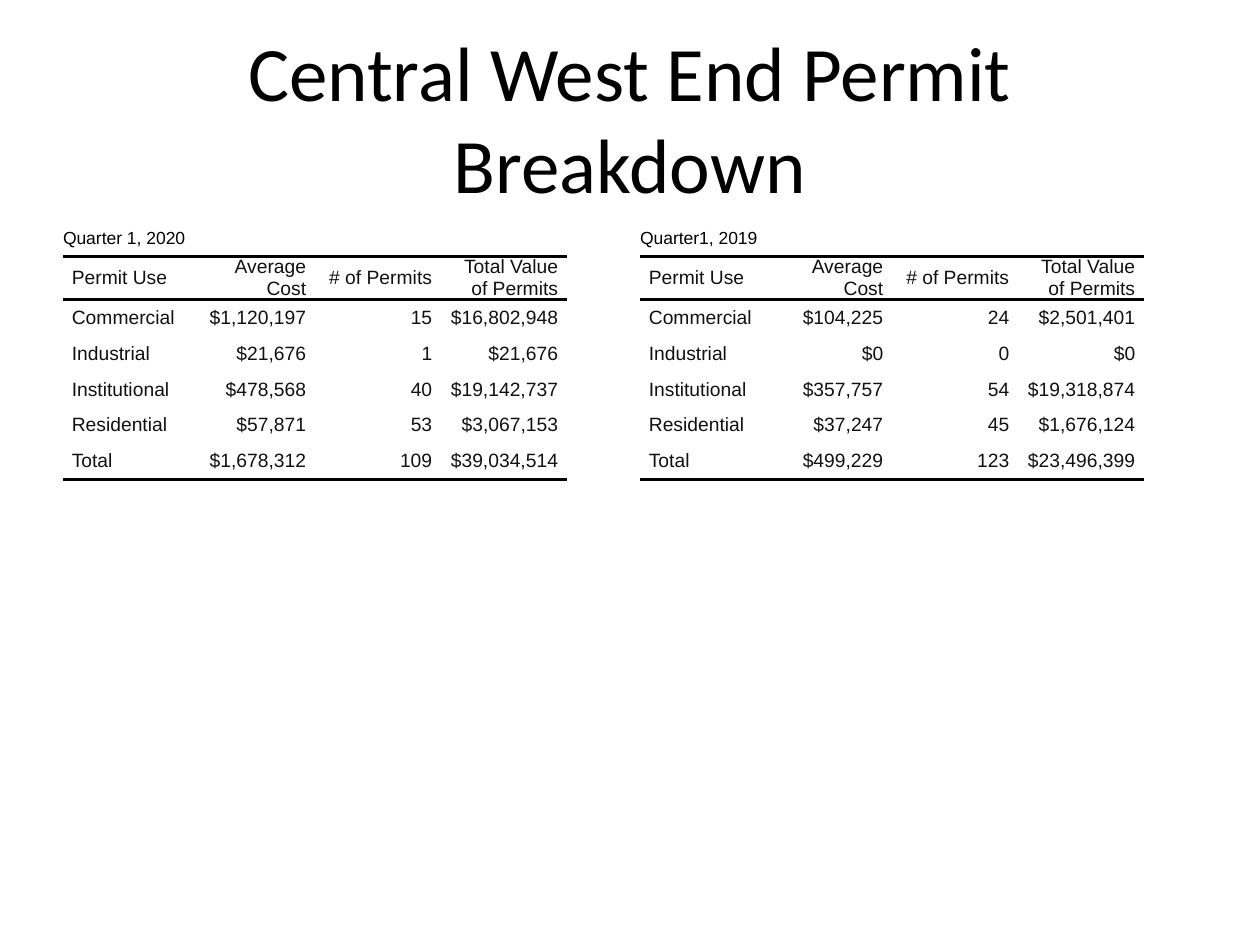
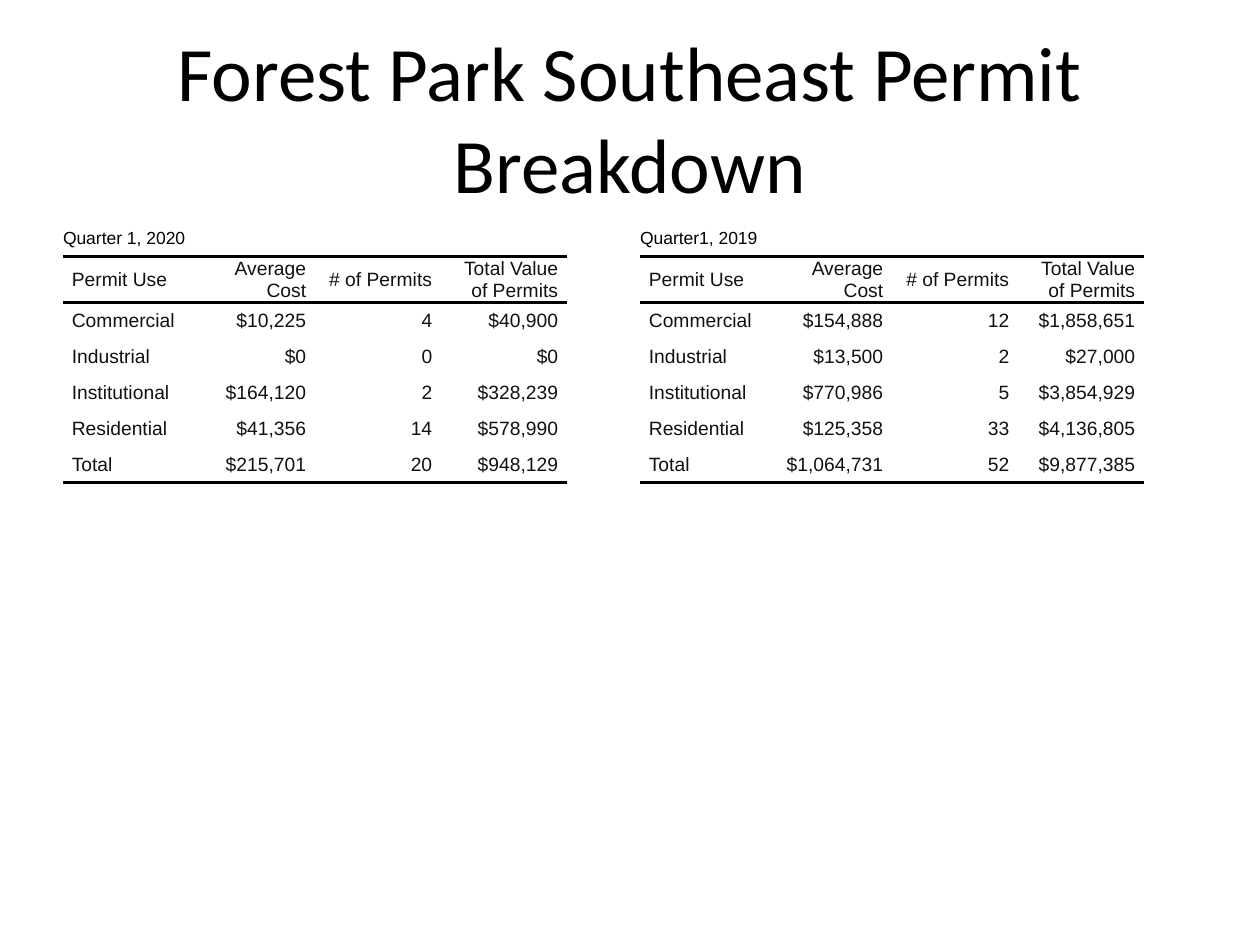
"""Build two slides comparing first-quarter building permits by neighbourhood."""
import pptx
import pptx.dml.color
import pptx.enum.text
import pptx.oxml
import pptx.oxml.ns
import pptx.util

HEADINGS = ["Permit Use", "Average Cost", "# of Permits", "Total Value of Permits"]
USES = ["Commercial", "Industrial", "Institutional", "Residential", "Total"]
QUARTERS = ["Quarter 1, 2020", "Quarter1, 2019"]
NEIGHBOURHOODS = {
    "Central West End Permit Breakdown": [
        [("$1,120,197", "15", "$16,802,948"),
         ("$21,676", "1", "$21,676"),
         ("$478,568", "40", "$19,142,737"),
         ("$57,871", "53", "$3,067,153"),
         ("$1,678,312", "109", "$39,034,514")],
        [("$104,225", "24", "$2,501,401"),
         ("$0", "0", "$0"),
         ("$357,757", "54", "$19,318,874"),
         ("$37,247", "45", "$1,676,124"),
         ("$499,229", "123", "$23,496,399")],
    ],
    "Forest Park Southeast Permit Breakdown": [
        [("$10,225", "4", "$40,900"),
         ("$0", "0", "$0"),
         ("$164,120", "2", "$328,239"),
         ("$41,356", "14", "$578,990"),
         ("$215,701", "20", "$948,129")],
        [("$154,888", "12", "$1,858,651"),
         ("$13,500", "2", "$27,000"),
         ("$770,986", "5", "$3,854,929"),
         ("$125,358", "33", "$4,136,805"),
         ("$1,064,731", "52", "$9,877,385")],
    ],
}

SLIDE_WIDTH, SLIDE_HEIGHT = 10, 7.5
MARGIN = SLIDE_WIDTH / 20
TITLE_TOP, TITLE_HEIGHT = SLIDE_HEIGHT * 0.04, SLIDE_HEIGHT / 6
TABLE_TOP, TABLE_PITCH = 1.75, 4.58
COLUMN_WIDTH, ROW_HEIGHT = 1, 2 / 7
CELL_PADDING = 0.07
RULE_COLOUR, RULE_POINTS = "000000", 2
PLAIN_TABLE_STYLE = "{2D5ABB26-0587-4C30-8999-92F81FD0307C}"

ALIGN = pptx.enum.text.PP_ALIGN
MIDDLE = pptx.enum.text.MSO_ANCHOR.MIDDLE
TITLE = {"name": "Calibri", "size": pptx.util.Pt(44), "colour": "000000"}
CAPTION = {"name": "Arial", "size": pptx.util.Pt(10), "colour": "000000"}
FIGURE = {"name": "Arial", "size": pptx.util.Pt(11), "colour": "111111"}


def inches(*lengths):
    return [pptx.util.Inches(length) for length in lengths]


def paint(colour_format, colour):
    colour_format.rgb = pptx.dml.color.RGBColor.from_string(colour)


def write(paragraph, words, style, alignment):
    paragraph.text = words
    paragraph.alignment = alignment
    font = paragraph.runs[0].font
    for attribute, value in style.items():
        if attribute == "colour":
            paint(font.color, value)
        else:
            setattr(font, attribute, value)


def rule(cell, sides):
    properties = cell._tc.get_or_add_tcPr()
    for position, side in enumerate(sides):
        properties.insert(position, pptx.oxml.parse_xml(
            f'<a:ln{side} {pptx.oxml.ns.nsdecls("a")} w="{pptx.util.Pt(RULE_POINTS)}">'
            f'<a:solidFill><a:srgbClr val="{RULE_COLOUR}"/></a:solidFill></a:ln{side}>'))


def fill_cell(cell, words, style, alignment, padding):
    cell.fill.background()
    margins = {"margin_left": padding, "margin_right": padding,
               "margin_top": 0, "margin_bottom": 0}
    for attribute, value in margins.items():
        setattr(cell, attribute, pptx.util.Inches(value))
    cell.vertical_anchor = MIDDLE
    write(cell.text_frame.paragraphs[0], words, style, alignment)


def add_title(slide, words):
    frame = slide.shapes.add_textbox(*inches(
        MARGIN, TITLE_TOP, SLIDE_WIDTH - 2 * MARGIN, TITLE_HEIGHT)).text_frame
    frame.word_wrap = True
    frame.vertical_anchor = MIDDLE
    write(frame.paragraphs[0], words, TITLE, ALIGN.CENTER)


def add_permits(slide, left, quarter, figures):
    lines = [HEADINGS] + [[use, *values] for use, values in zip(USES, figures)]
    row_count, column_count = len(lines) + 1, len(HEADINGS)
    table = slide.shapes.add_table(row_count, column_count, *inches(
        left, TABLE_TOP, column_count * COLUMN_WIDTH, row_count * ROW_HEIGHT)).table
    table.first_row = table.horz_banding = False
    table._tbl.tblPr[0].text = PLAIN_TABLE_STYLE
    caption = table.cell(0, 0)
    caption.merge(table.cell(0, column_count - 1))
    fill_cell(caption, quarter, CAPTION, ALIGN.LEFT, 0)
    ruled_sides = {1: "TB", row_count - 1: "B"}
    for row, line in enumerate(lines, start=1):
        for column, words in enumerate(line):
            cell = table.cell(row, column)
            alignment = ALIGN.RIGHT if column else ALIGN.LEFT
            fill_cell(cell, words, FIGURE, alignment, CELL_PADDING)
            rule(cell, ruled_sides.get(row, ""))


def main():
    deck = pptx.Presentation()
    deck.slide_width, deck.slide_height = inches(SLIDE_WIDTH, SLIDE_HEIGHT)
    for title, tables in NEIGHBOURHOODS.items():
        slide = deck.slides.add_slide(deck.slide_layouts[6])
        for index, (quarter, figures) in enumerate(zip(QUARTERS, tables)):
            add_permits(slide, MARGIN + index * TABLE_PITCH, quarter, figures)
        add_title(slide, title)
    deck.save("out.pptx")


if __name__ == "__main__":
    main()
